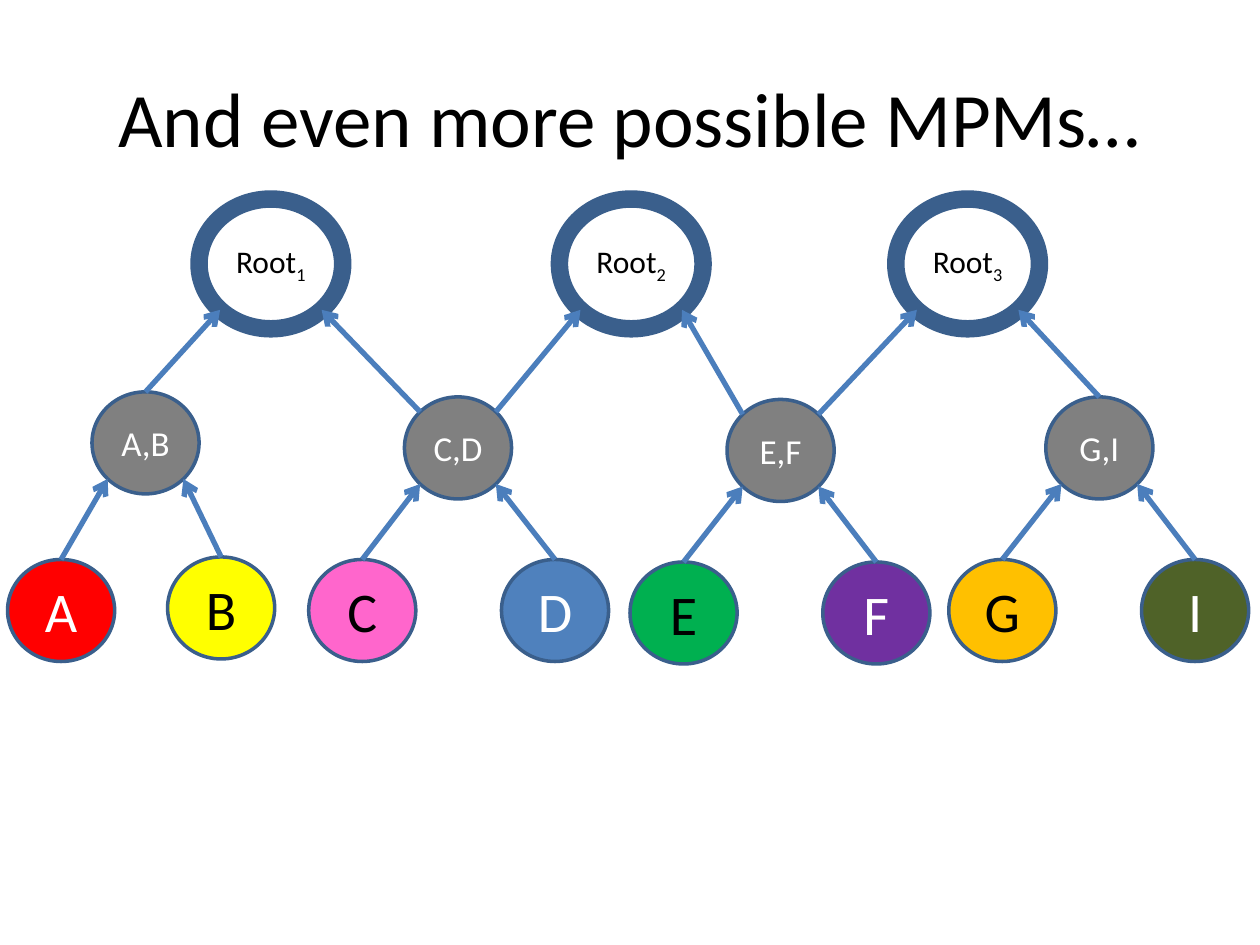
from dataclasses import dataclass

import pptx
import pptx.dml.color
import pptx.enum.shapes
import pptx.enum.text
import pptx.oxml
import pptx.oxml.ns
import pptx.slide
import pptx.util
from lxml import etree
from pptx.util import Inches

FONT = "Calibri"
COLORS = {
    "black": "000000", "white": "FFFFFF", "outline": "3A5F8C", "arrow": "4B7EBC",
    "gray": "808080", "red": "FF0000", "yellow": "FFFF00", "pink": "FF66CC",
    "blue": "4F81BD", "green": "00B050", "purple": "7030A0", "orange": "FFC000",
    "olive": "4F6228",
}
DIAGONAL = 0.5 ** 0.5  # share of the radius at an ellipse's 45-degree points


@dataclass(frozen=True)
class Level:
    width: float
    height: float
    font_size: int
    outline: int


ROOT = Level(1.14, 1.03, 18, 10)
PAIR = Level(0.85, 0.81, 20, 2)
LEAF = Level(0.85, 0.81, 32, 2)


@dataclass(frozen=True)
class Node:
    label: str
    level: Level
    left: float
    top: float
    fill: str | None = None
    ink: str = "black"
    subscript: str = ""

    def site(self, across: int, down: int) -> tuple[float, float]:
        """Point on the outline in direction across, down (each -1, 0 or 1)."""
        reach = DIAGONAL if across and down else 1
        return (self.left + self.level.width / 2 * (1 + across * reach),
                self.top + self.level.height / 2 * (1 + down * reach))


ROOTS = [Node("Root", ROOT, left, 1.58, subscript=str(number))
         for number, left in enumerate((1.58, 4.44, 7.11), start=1)]
PAIRS = [Node(label, PAIR, left, top, "gray", "white") for label, left, top in (
    ("A,B", 0.73, 3.11), ("C,D", 3.21, 3.15), ("E,F", 5.77, 3.17), ("G,I", 8.3, 3.15))]
LEAVES = [
    Node("A", LEAF, 0.06, 4.44, "red", "white"),
    Node("B", LEAF, 1.33, 4.42, "yellow"),
    Node("C", LEAF, 2.45, 4.44, "pink"),
    Node("D", LEAF, 3.98, 4.44, "blue", "white"),
    Node("E", LEAF, 5, 4.46, "green"),
    Node("F", LEAF, 6.53, 4.46, "purple", "white"),
    Node("G", LEAF, 7.53, 4.44, "orange"),
    Node("I", LEAF, 9.06, 4.44, "olive", "white"),
]


def rgb(name: str) -> pptx.dml.color.RGBColor:
    return pptx.dml.color.RGBColor.from_string(COLORS[name])


def format_run(run, size: int, color: str) -> None:
    run.font.name = FONT
    run.font.size = pptx.util.Pt(size)
    run.font.color.rgb = rgb(color)


def draw_node(slide: pptx.slide.Slide, node: Node) -> None:
    level = node.level
    ellipse = slide.shapes.add_shape(
        pptx.enum.shapes.MSO_SHAPE.OVAL, Inches(node.left), Inches(node.top),
        Inches(level.width), Inches(level.height))
    ellipse.shadow.inherit = False
    if node.fill:
        ellipse.fill.solid()
        ellipse.fill.fore_color.rgb = rgb(node.fill)
    else:
        ellipse.fill.background()
    ellipse.line.color.rgb = rgb("outline")
    ellipse.line.width = pptx.util.Pt(level.outline)

    ellipse.text_frame.vertical_anchor = pptx.enum.text.MSO_ANCHOR.MIDDLE
    paragraph = ellipse.text_frame.paragraphs[0]
    paragraph.text = node.label
    paragraph.alignment = pptx.enum.text.PP_ALIGN.CENTER
    if node.subscript:
        subscript = paragraph.add_run()
        subscript.text = node.subscript
        subscript.font._element.set("baseline", "-25000")
    for run in paragraph.runs:
        format_run(run, level.font_size, node.ink)


def draw_arrow(slide: pptx.slide.Slide, start: tuple[float, float],
               end: tuple[float, float]) -> None:
    arrow = slide.shapes.add_connector(
        pptx.enum.shapes.MSO_CONNECTOR.STRAIGHT, *map(Inches, start + end))
    arrow.line.color.rgb = rgb("arrow")
    arrow.line.width = pptx.util.Pt(3)
    etree.SubElement(arrow.line._get_or_add_ln(), pptx.oxml.ns.qn("a:tailEnd"), type="arrow")
    etree.SubElement(arrow._element.spPr, pptx.oxml.ns.qn("a:effectLst"))


def join_children(slide: pptx.slide.Slide, parent: Node, left: Node, right: Node,
                  left_site: int = 0, right_site: int = 0) -> None:
    """Arrows from the children's tops, or top corners, to the parent's lower corners."""
    draw_arrow(slide, left.site(left_site, -1), parent.site(-1, 1))
    draw_arrow(slide, right.site(right_site, -1), parent.site(1, 1))


def main() -> None:
    deck = pptx.Presentation()
    deck.slide_width, deck.slide_height = Inches(10), Inches(7.5)
    slide = deck.slides.add_slide(deck.slide_layouts[5])

    title = slide.shapes.title
    title.left, title.top, title.width, title.height = map(Inches, (0.5, 0.3, 9, 1.25))
    title.text_frame.text = "And even more possible MPMs…"
    title.text_frame.vertical_anchor = pptx.enum.text.MSO_ANCHOR.MIDDLE
    heading = title.text_frame.paragraphs[0]
    heading.alignment = pptx.enum.text.PP_ALIGN.CENTER
    format_run(heading.runs[0], 44, "black")

    for node in ROOTS + PAIRS + LEAVES:
        draw_node(slide, node)
    for pair, left, right in zip(PAIRS, LEAVES[::2], LEAVES[1::2]):
        join_children(slide, pair, left, right)
    for root, left, right in zip(ROOTS, PAIRS, PAIRS[1:]):
        # Inner pairs feed two roots, so their arrows leave from the top corners.
        join_children(slide, root, left, right,
                      left_site=0 if left is PAIRS[0] else 1,
                      right_site=0 if right is PAIRS[-1] else -1)

    deck.save("out.pptx")


if __name__ == "__main__":
    main()
